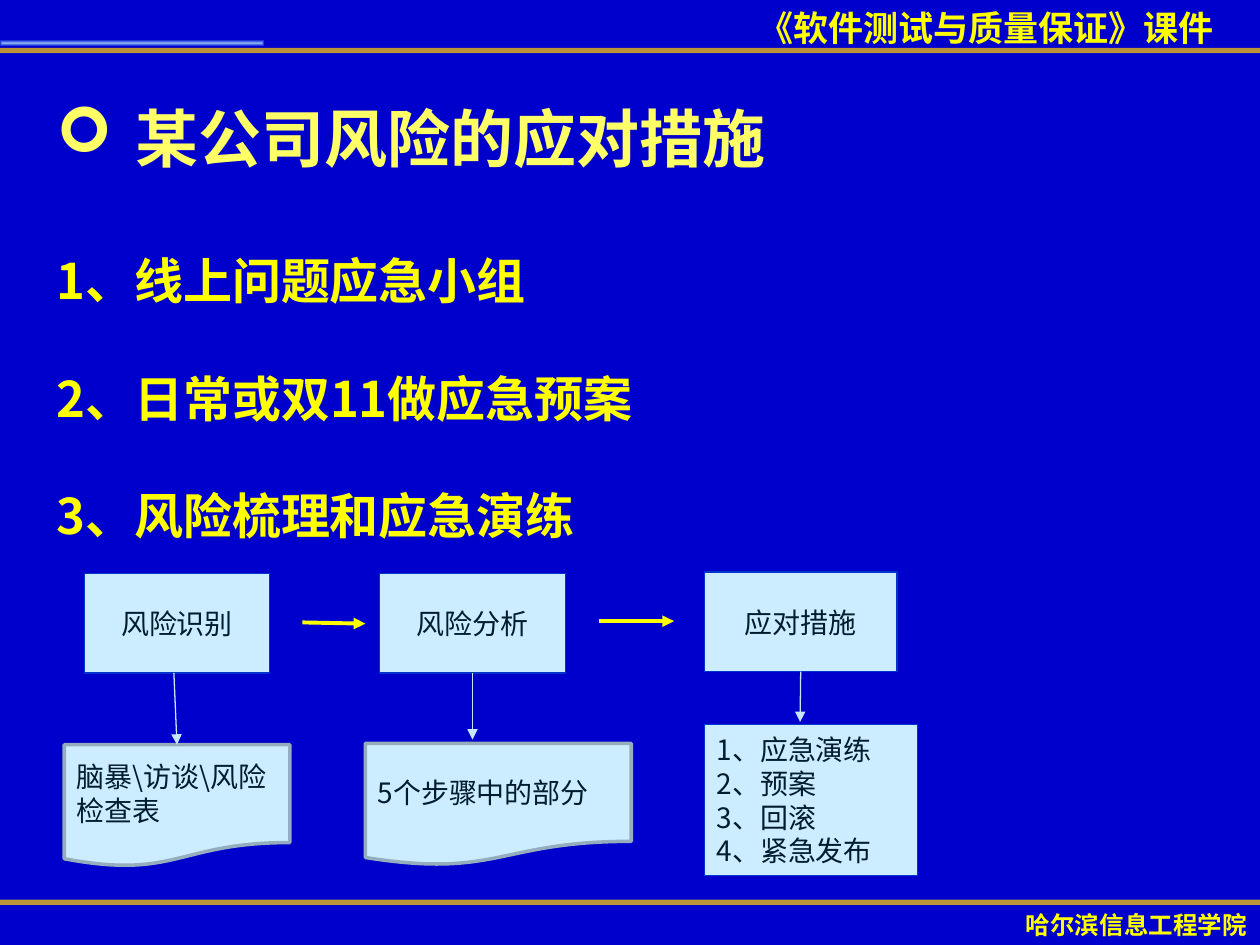
from lxml import etree
from pptx import Presentation
from pptx.dml.color import RGBColor
from pptx.enum.shapes import MSO_CONNECTOR, MSO_SHAPE
from pptx.enum.text import MSO_ANCHOR, PP_ALIGN
from pptx.oxml import parse_xml
from pptx.oxml.ns import nsdecls, qn
from pptx.util import Inches, Pt

PROCESS = MSO_SHAPE.FLOWCHART_PROCESS
DOCUMENT = MSO_SHAPE.FLOWCHART_DOCUMENT
RECTANGLE = MSO_SHAPE.RECTANGLE
STRAIGHT = MSO_CONNECTOR.STRAIGHT
TOP, MIDDLE = MSO_ANCHOR.TOP, MSO_ANCHOR.MIDDLE
LEFT, CENTER = PP_ALIGN.LEFT, PP_ALIGN.CENTER
TOP_SIDE, BOTTOM_SIDE = 0, 2

BLUE = RGBColor(0x00, 0x00, 0xCC)
GOLD = RGBColor(0xFF, 0xCC, 0x00)
YELLOW = RGBColor(0xFF, 0xFF, 0x00)
PALE_YELLOW = RGBColor(0xFF, 0xFF, 0x66)
PALE_BLUE = RGBColor(0xCC, 0xEC, 0xFF)
BOX_EDGE = RGBColor(0x00, 0x33, 0xCC)
DOC_EDGE = RGBColor(0x95, 0xAD, 0xBC)
ARROW_BLUE = RGBColor(0xC6, 0xE7, 0xFB)
INK = RGBColor(0x00, 0x1D, 0x2E)

LATIN = "Arial"
CJK = "Noto Sans CJK SC"
HEADER = {"name": LATIN, "size": Pt(20), "bold": True}
FOOTER = {"name": LATIN, "size": Pt(14), "bold": True}
TITLE = {"name": LATIN, "size": Pt(36), "bold": True}
BODY = {"name": CJK, "size": Pt(28), "bold": True}
LABEL = {"name": CJK, "size": Pt(16), "bold": False}


def write(tf, lines, style, color, align=LEFT, gap=0):
    for i, line in enumerate(lines):
        p = tf.paragraphs[0] if i == 0 else tf.add_paragraph()
        p.alignment = align
        if i and gap:
            p.space_before = Pt(gap)
        r = p.add_run()
        r.text = line
        for key, value in style.items():
            setattr(r.font, key, value)
        r.font.color.rgb = color


def add_text(s, box, lines, style, color, align=LEFT, gap=0, wrap=True):
    tf = s.shapes.add_textbox(*map(Inches, box)).text_frame
    tf.word_wrap = wrap
    tf.vertical_anchor = TOP
    write(tf, lines, style, color, align, gap)
    return tf


def add_title(s, box, text):
    tf = add_text(s, box, [text], TITLE, PALE_YELLOW)
    tf.margin_top = Inches(0.03)
    pPr = tf.paragraphs[0]._p.get_or_add_pPr()
    pPr.set("marL", str(Inches(0.63)))
    pPr.set("indent", str(-Inches(0.63)))
    etree.SubElement(pPr, qn("a:buFont")).set("typeface", "Wingdings")
    etree.SubElement(pPr, qn("a:buChar")).set("char", "➢")


def add_box(s, kind, box, lines, edge, width, align=LEFT, wrap=True):
    sp = s.shapes.add_shape(kind, *map(Inches, box))
    sp.shadow.inherit = False
    sp.fill.solid()
    sp.fill.fore_color.rgb = PALE_BLUE
    sp.line.color.rgb = edge
    sp.line.width = Pt(width)
    tf = sp.text_frame
    tf.word_wrap = wrap
    tf.vertical_anchor = MIDDLE
    write(tf, lines, LABEL, INK, align)
    return sp


def add_line(s, start, end, color, width):
    c = s.shapes.add_connector(STRAIGHT, *map(Inches, start + end))
    c.line.color.rgb = color
    c.line.width = Pt(width)
    etree.SubElement(c._element.spPr, qn("a:effectLst"))
    return c


def add_arrow(s, start, end, color, width):
    c = add_line(s, start, end, color, width)
    etree.SubElement(c.line._get_or_add_ln(), qn("a:tailEnd")).set("type", "triangle")
    return c


def add_rule(s, start, end):
    c = add_line(s, start, end, GOLD, 3)
    rgb = c.line._get_or_add_ln().find(".//" + qn("a:srgbClr"))
    etree.SubElement(rgb, qn("a:alpha")).set("val", "72000")


def add_glow_bar(s, box):
    sp = s.shapes.add_shape(RECTANGLE, *map(Inches, box))
    sp.shadow.inherit = False
    sp.line.fill.background()
    stops = "".join(
        f'<a:gs pos="{pos}"><a:srgbClr val="{color}"><a:alpha val="{alpha}"/></a:srgbClr></a:gs>'
        for pos, color, alpha in ((0, "C3EBFF", 82000), (100000, "66CCFF", 18000))
    )
    fill = parse_xml(
        f'<a:gradFill {nsdecls("a")}><a:gsLst>{stops}</a:gsLst><a:path path="rect">'
        '<a:fillToRect l="50000" t="50000" r="50000" b="50000"/></a:path></a:gradFill>'
    )
    sp._element.spPr.find(qn("a:prstGeom")).addnext(fill)


def add_frame(s):
    add_rule(s, (0, 0.4), (10, 0.4))
    add_rule(s, (0, 7.16), (10, 7.16))
    add_glow_bar(s, (0, 0.32, 2.09, 0.04))
    add_text(s, (5.92, 0, 5.15, 0.44), ["《软件测试与质量保证》课件"], HEADER, YELLOW)
    add_text(s, (7.84, 7.17, 2.36, 0.34), ["哈尔滨信息工程学院"], FOOTER, YELLOW, CENTER)


def add_flow(s):
    steps = [
        add_box(s, PROCESS, box, [text], BOX_EDGE, 0.75, CENTER, False)
        for box, text in (
            ((0.67, 4.55, 1.47, 0.79), "风险识别"),
            ((3.01, 4.55, 1.48, 0.79), "风险分析"),
            ((5.59, 4.54, 1.53, 0.79), "应对措施"),
        )
    ]
    add_arrow(s, (2.4, 4.94), (2.9, 4.95), YELLOW, 2.25)
    add_arrow(s, (4.75, 4.93), (5.35, 4.93), YELLOW, 2.25)

    methods = add_box(s, DOCUMENT, (0.51, 5.91, 1.79, 0.97), ["脑暴\\访谈\\风险检查表"], DOC_EDGE, 2)
    add_box(s, DOCUMENT, (2.9, 5.9, 2.11, 0.97), ["5个步骤中的部分"], DOC_EDGE, 2)
    measures = ["1、应急演练", "2、预案", "3、回滚", "4、紧急发布"]
    add_box(s, PROCESS, (5.59, 5.75, 1.69, 1.2), measures, BOX_EDGE, 0.75, wrap=False)

    add_arrow(s, (1.38, 5.34), (1.41, 5.91), ARROW_BLUE, 0.75).end_connect(methods, TOP_SIDE)
    for step, x, bottom in ((steps[1], 3.75, 5.87), (steps[2], 6.35, 5.73)):
        add_arrow(s, (x, 5.34), (x, bottom), ARROW_BLUE, 0.75).begin_connect(step, BOTTOM_SIDE)


def main():
    prs = Presentation()
    prs.slide_width, prs.slide_height = Inches(10), Inches(7.5)
    s = prs.slides.add_slide(prs.slide_layouts[6])
    s.background.fill.solid()
    s.background.fill.fore_color.rgb = BLUE
    add_frame(s)
    add_title(s, (0.35, 0.76, 9.34, 1.25), "某公司风险的应对措施")
    points = ["1、线上问题应急小组", "2、日常或双11做应急预案", "3、风险梳理和应急演练"]
    add_text(s, (0.35, 1.94, 9.29, 4.02), points, BODY, YELLOW, gap=33.6)
    add_flow(s)
    prs.save("out.pptx")


if __name__ == "__main__":
    main()
